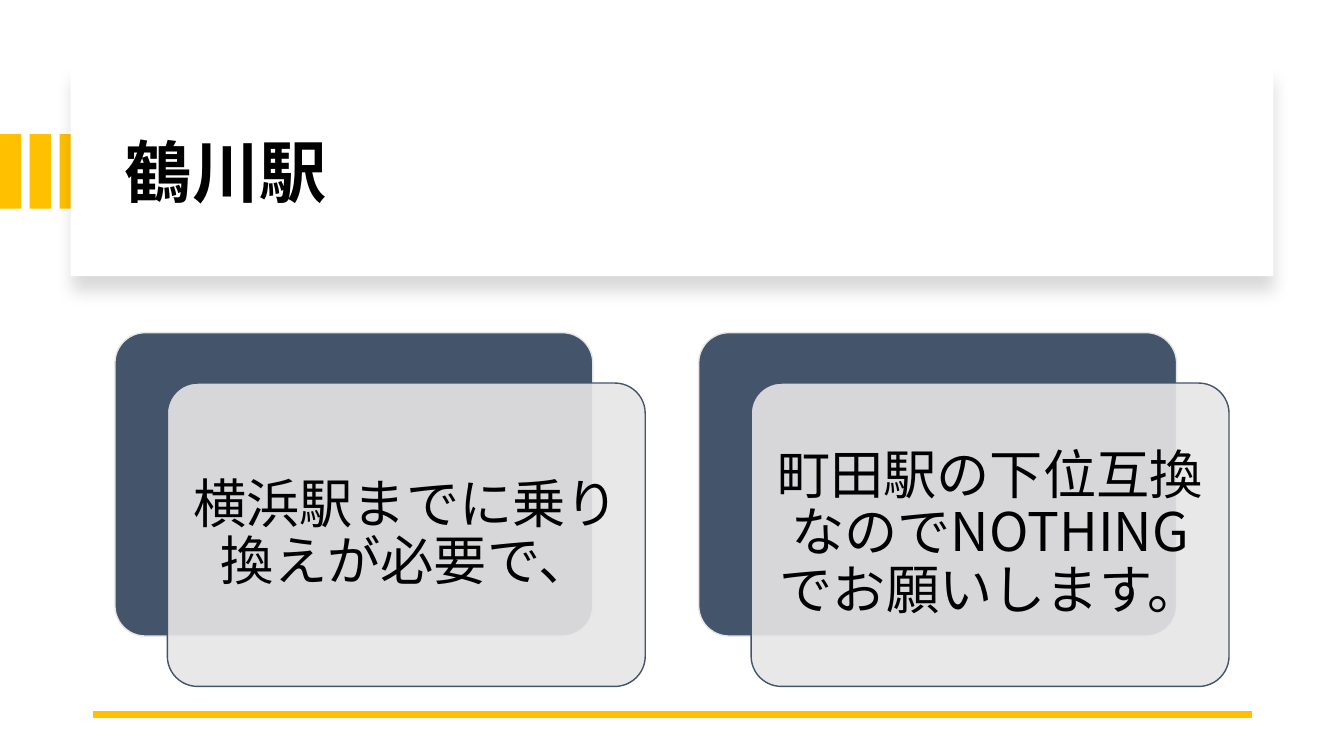
from dataclasses import dataclass

import pptx
import pptx.dml.color
import pptx.enum.shapes
import pptx.enum.text
import pptx.oxml
import pptx.oxml.ns
import pptx.slide
import pptx.util
from lxml import etree

Inches = pptx.util.Inches
Pt = pptx.util.Pt
RGBColor = pptx.dml.color.RGBColor
Shape = pptx.enum.shapes.MSO_SHAPE
Align = pptx.enum.text.PP_ALIGN
qn = pptx.oxml.ns.qn

GOLD = RGBColor(0xFF, 0xC0, 0x00)
SLATE = RGBColor(0x44, 0x54, 0x6A)
PALE = RGBColor(0xE7, 0xE6, 0xE6)
WHITE = RGBColor(0xFF, 0xFF, 0xFF)
BLACK = RGBColor(0x00, 0x00, 0x00)
FONT = "Noto Sans CJK JP"

CARD_WIDTH, CARD_HEIGHT = 4.74, 3.01
CARD_TOP = 3.3
FRONT_SHIFT_X, FRONT_SHIFT_Y = 0.52, 0.5
TEXT_MARGIN = 0.09

BANNER_SHADOW = (
    f'<a:effectLst {pptx.oxml.ns.nsdecls("a")}>'
    f'<a:outerShdw blurRad="{Pt(11)}" dist="{Pt(10)}" dir="5400000" algn="t" rotWithShape="0">'
    '<a:srgbClr val="000000"><a:alpha val="15000"/></a:srgbClr>'
    "</a:outerShdw></a:effectLst>"
)


@dataclass
class Box:
    left: float
    top: float
    width: float
    height: float

    def lengths(self) -> tuple:
        return tuple(Inches(v) for v in (self.left, self.top, self.width, self.height))


@dataclass
class Card:
    left: float
    text: str


CARDS = [
    Card(1.14, "横浜駅までに乗り換えが必要で、"),
    Card(6.93, "町田駅の下位互換なのでNOTHINGでお願いします。"),
]


def add_block(slide: pptx.slide.Slide, box: Box, fill: RGBColor,
              line: RGBColor | None = None, kind=Shape.RECTANGLE):
    shape = slide.shapes.add_shape(kind, *box.lengths())
    shape.shadow.inherit = False
    shape.fill.solid()
    shape.fill.fore_color.rgb = fill
    if line is None:
        shape.line.fill.background()
    else:
        shape.line.color.rgb = line
        shape.line.width = Pt(1)
    if kind == Shape.ROUNDED_RECTANGLE:
        shape.adjustments[0] = 0.1
    return shape


def add_text(slide: pptx.slide.Slide, box: Box, text: str, size: float,
             align: Align = Align.LEFT, bold: bool = False, inset: float | None = None) -> None:
    frame = slide.shapes.add_textbox(*box.lengths()).text_frame
    frame.word_wrap = True
    frame.vertical_anchor = pptx.enum.text.MSO_ANCHOR.MIDDLE
    if inset is not None:
        frame.margin_left = frame.margin_right = Inches(inset)
        frame.margin_top = frame.margin_bottom = Inches(inset)
    paragraph = frame.paragraphs[0]
    paragraph.text = text
    paragraph.alignment = align
    paragraph.line_spacing = 0.9
    font = paragraph.font
    font.size = Pt(size)
    font.bold = bold
    font.color.rgb = BLACK
    font.name = FONT
    # Japanese characters take the East Asian font
    defaults = paragraph._p.pPr.find(qn("a:defRPr"))
    etree.SubElement(defaults, qn("a:ea")).set("typeface", FONT)


def add_card(slide: pptx.slide.Slide, card: Card) -> None:
    back = Box(card.left, CARD_TOP, CARD_WIDTH, CARD_HEIGHT)
    front = Box(back.left + FRONT_SHIFT_X, back.top + FRONT_SHIFT_Y, CARD_WIDTH, CARD_HEIGHT)
    label = Box(front.left + TEXT_MARGIN, front.top + TEXT_MARGIN,
                CARD_WIDTH - 2 * TEXT_MARGIN, CARD_HEIGHT - 2 * TEXT_MARGIN)
    add_block(slide, back, SLATE, PALE, Shape.ROUNDED_RECTANGLE)
    panel = add_block(slide, front, PALE, SLATE, Shape.ROUNDED_RECTANGLE)
    color = panel._element.spPr.find(qn("a:solidFill"))[0]
    etree.SubElement(color, qn("a:alpha")).set("val", "90000")
    add_text(slide, label, card.text, 38, Align.CENTER, inset=0.16)


def main() -> None:
    presentation = pptx.Presentation()
    presentation.slide_width = Inches(13.33)
    presentation.slide_height = Inches(7.5)
    slide = presentation.slides.add_slide(presentation.slide_layouts[6])

    # Gold stripes at the left edge
    for index in range(3):
        add_block(slide, Box(index * 0.295, 1.33, 0.21, 0.74), GOLD)

    # Title banner
    banner = add_block(slide, Box(0.7, 0.67, 11.93, 2.07), WHITE)
    properties = banner._element.spPr
    properties.replace(properties.find(qn("a:effectLst")), pptx.oxml.parse_xml(BANNER_SHADOW))
    add_text(slide, Box(1.14, 0.89, 11.13, 1.7), "鶴川駅", 48, bold=True)

    # Bottom rule
    rule = slide.shapes.add_connector(
        pptx.enum.shapes.MSO_CONNECTOR.STRAIGHT,
        Inches(12.42), Inches(7.09), Inches(0.92), Inches(7.09))
    rule.line.color.rgb = GOLD
    rule.line.width = Pt(4.5)
    etree.SubElement(rule._element.spPr, qn("a:effectLst"))

    # Layered cards
    for card in CARDS:
        add_card(slide, card)

    presentation.save("out.pptx")


if __name__ == "__main__":
    main()
